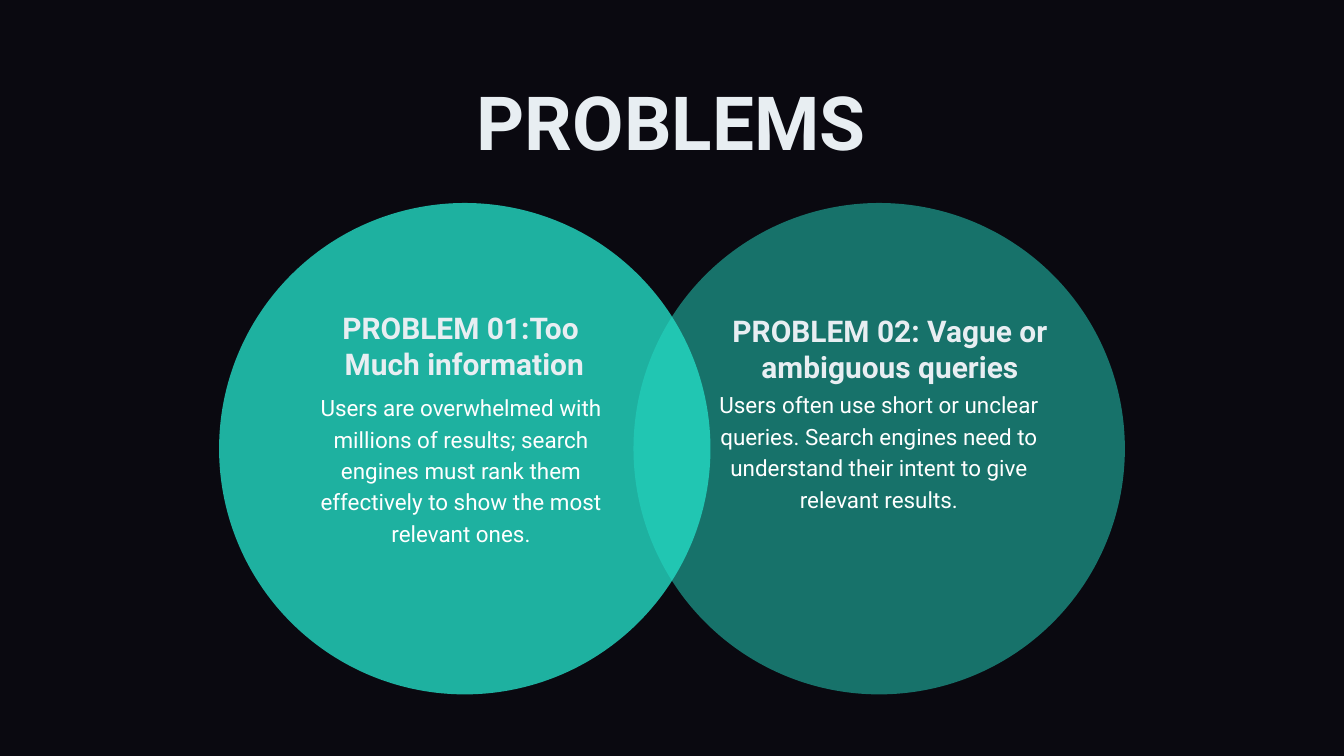
"""Build the PROBLEMS slide: two overlapping translucent circles, each with a heading and a description."""
from lxml.etree import SubElement
from pptx import Presentation
from pptx.dml.color import RGBColor
from pptx.enum.shapes import MSO_SHAPE as Shape
from pptx.enum.text import PP_ALIGN as Align
from pptx.oxml.ns import qn
from pptx.util import Pt

PX = 9525
WIDTH, HEIGHT = 1920, 1080
DIAMETER, CIRCLE_TOP = 702, 290
NIGHT, TEAL, PALE, WHITE = "0A0910", "24DBC5", "E8EEF2", "FFFFFF"


def add_filled(kind, box, color, opacity=100):
    filled = slide.shapes.add_shape(kind, *(n * PX for n in box))
    filled.shadow.inherit = False
    filled.line.fill.background()
    filled.fill.solid()
    filled.fill.fore_color.rgb = RGBColor.from_string(color)
    if opacity < 100:
        tint = filled.fill._xPr.find(qn("a:solidFill"))[0]
        SubElement(tint, qn("a:alpha"), val=str(opacity * 1000))


def add_words(box, lines, size, spacing, color, bold=False):
    frame = slide.shapes.add_textbox(*(n * PX for n in box)).text_frame
    frame.word_wrap = True
    frame.margin_left = frame.margin_top = frame.margin_right = frame.margin_bottom = 0
    paragraph = frame.paragraphs[0]
    paragraph.alignment = Align.CENTER
    paragraph.line_spacing = Pt(spacing)
    for index, line in enumerate(lines):
        if index:
            paragraph.add_line_break()
        run = paragraph.add_run()
        run.text = line
        run.font.name = "Roboto"
        run.font.size = Pt(size)
        run.font.bold = bold
        run.font.color.rgb = RGBColor.from_string(color)


deck = Presentation()
deck.slide_width, deck.slide_height = WIDTH * PX, HEIGHT * PX
slide = deck.slides.add_slide(deck.slide_layouts[6])
slide.background.fill.solid()
slide.background.fill.fore_color.rgb = RGBColor.from_string("0F1A38")

add_filled(Shape.RECTANGLE, (0, 0, WIDTH, HEIGHT), NIGHT)
add_filled(Shape.OVAL, (905, CIRCLE_TOP, DIAMETER, DIAMETER), TEAL, 50)
add_words((566, 108, 786, 128), ["PROBLEMS"], 80, 96, PALE, True)
add_filled(Shape.OVAL, (313, CIRCLE_TOP, DIAMETER, DIAMETER), TEAL, 80)

problems = [
    ((976, 447, 591, 103), ["PROBLEM 02: Vague or", "ambiguous queries"],
     (1015, 553, 481, 228),
     "Users often use short or unclear queries. Search engines need to "
     "understand their intent to give relevant results."),
    ((423, 443, 481, 103), ["PROBLEM 01:Too ", "Much information"],
     (418, 557, 481, 228),
     "Users are overwhelmed with millions of results; search engines must "
     "rank them effectively to show the most relevant ones."),
]
for heading_box, heading, description_box, description in problems:
    add_words(heading_box, heading, 32, 38.4, PALE, True)
    add_words(description_box, [description], 24, 33.6, WHITE)

deck.save("out.pptx")
